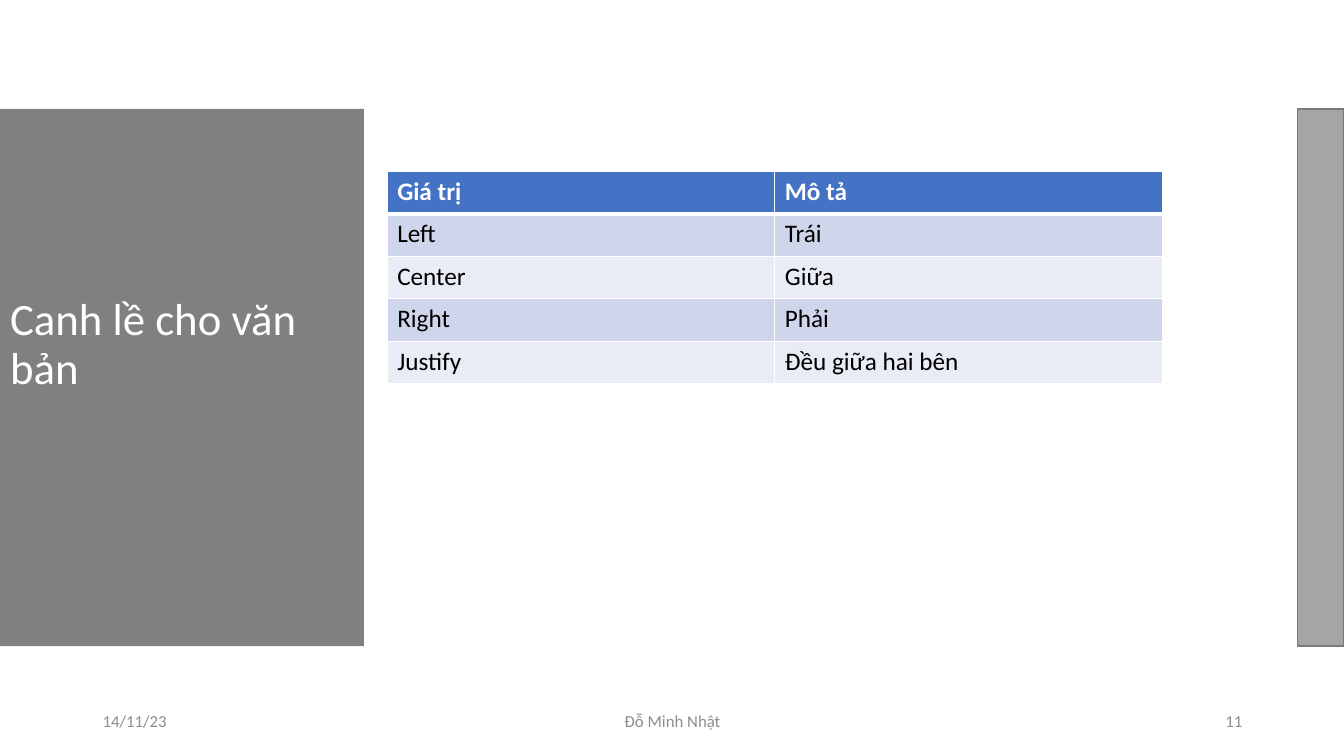
from lxml.etree import SubElement as Sub
from pptx import Presentation
from pptx.dml.color import RGBColor
from pptx.enum.shapes import MSO_SHAPE as Shape
from pptx.enum.text import MSO_ANCHOR as Anchor, MSO_AUTO_SIZE as Auto, PP_ALIGN as Align
from pptx.oxml.ns import qn
from pptx.util import Inches, Pt

COLORS = {
    "white": "FFFFFF", "black": "000000", "panel": "808080",
    "head": "4472C4", "odd": "CFD5EA", "even": "E9EBF5",
    "foot": "8C8C8C", "bar": "A5A5A5", "edge": "7A7A7A",
}
ROWS = [
    ("Giá trị", "Mô tả"),
    ("Left", "Trái"),
    ("Center", "Giữa"),
    ("Right", "Phải"),
    ("Justify", "Đều giữa hai bên"),
]
FOOT = [
    (0.92, 3, "14/11/23", Align.LEFT),
    (4.42, 4.5, "Đỗ Minh Nhật", Align.CENTER),
    (9.42, 3, "11", Align.RIGHT),
]


def paint(fill, color):
    fill.solid()
    fill.fore_color.rgb = RGBColor.from_string(COLORS[color])


def write(frame, text, size, color, bold=False, align=Align.LEFT):
    para = frame.paragraphs[0]
    para.alignment = align
    run = para.add_run()
    run.text = text
    font = run.font
    font.name, font.size, font.bold = "Calibri", Pt(size), bold
    font.color.rgb = RGBColor.from_string(COLORS[color])
    return para


def add_title(slide, left, top, width, height):
    title = slide.shapes.title
    title.left, title.top = Inches(left), Inches(top)
    title.width, title.height = Inches(width), Inches(height)
    paint(title.fill, "panel")
    frame = title.text_frame
    frame.word_wrap = True
    frame.auto_size = Auto.NONE
    frame.vertical_anchor = Anchor.BOTTOM
    frame.margin_bottom = Inches(2.5)
    write(frame, "Canh lề cho văn bản", 32, "white").line_spacing = 0.9


def rule(cell, head):
    props = cell._tc.get_or_add_tcPr()
    for side in "LRTB":
        thick = 3 if head and side == "B" else 1
        line = Sub(props, qn(f"a:ln{side}"), w=str(Pt(thick)))
        fill = Sub(line, qn("a:solidFill"))
        Sub(fill, qn("a:srgbClr"), val=COLORS["white"])


def add_grid(slide, left, top, width, height):
    box = [Inches(n) for n in (left, top, width, height)]
    table = slide.shapes.add_table(len(ROWS), len(ROWS[0]), *box).table
    for i, row in enumerate(ROWS):
        head = i == 0
        back = "head" if head else ("even", "odd")[i % 2]
        for j, text in enumerate(row):
            cell = table.cell(i, j)
            rule(cell, head)
            paint(cell.fill, back)
            write(cell.text_frame, text, 18, "white" if head else "black", head)


def add_foot(slide, top, height):
    for left, width, text, align in FOOT:
        box = slide.shapes.add_textbox(Inches(left), Inches(top), Inches(width), Inches(height))
        frame = box.text_frame
        frame.word_wrap = True
        frame.vertical_anchor = Anchor.MIDDLE
        write(frame, text, 12, "foot", align=align)


def add_bar(slide, left, top, width, height):
    box = [Inches(n) for n in (left, top, width, height)]
    bar = slide.shapes.add_shape(Shape.RECTANGLE, *box)
    bar.shadow.inherit = False
    paint(bar.fill, "bar")
    paint(bar.line.fill, "edge")
    bar.line.width = Pt(1)


def main():
    deck = Presentation()
    deck.slide_width, deck.slide_height = Inches(13.33), Inches(7.5)
    slide = deck.slides.add_slide(deck.slide_layouts[5])
    paint(slide.background.fill, "white")
    add_title(slide, 0, 1.08, 3.61, 5.33)
    add_grid(slide, 3.84, 1.7, 7.69, 2.11)
    add_foot(slide, 6.95, 0.4)
    add_bar(slide, 12.87, 1.08, 0.46, 5.33)
    deck.save("out.pptx")


if __name__ == "__main__":
    main()
